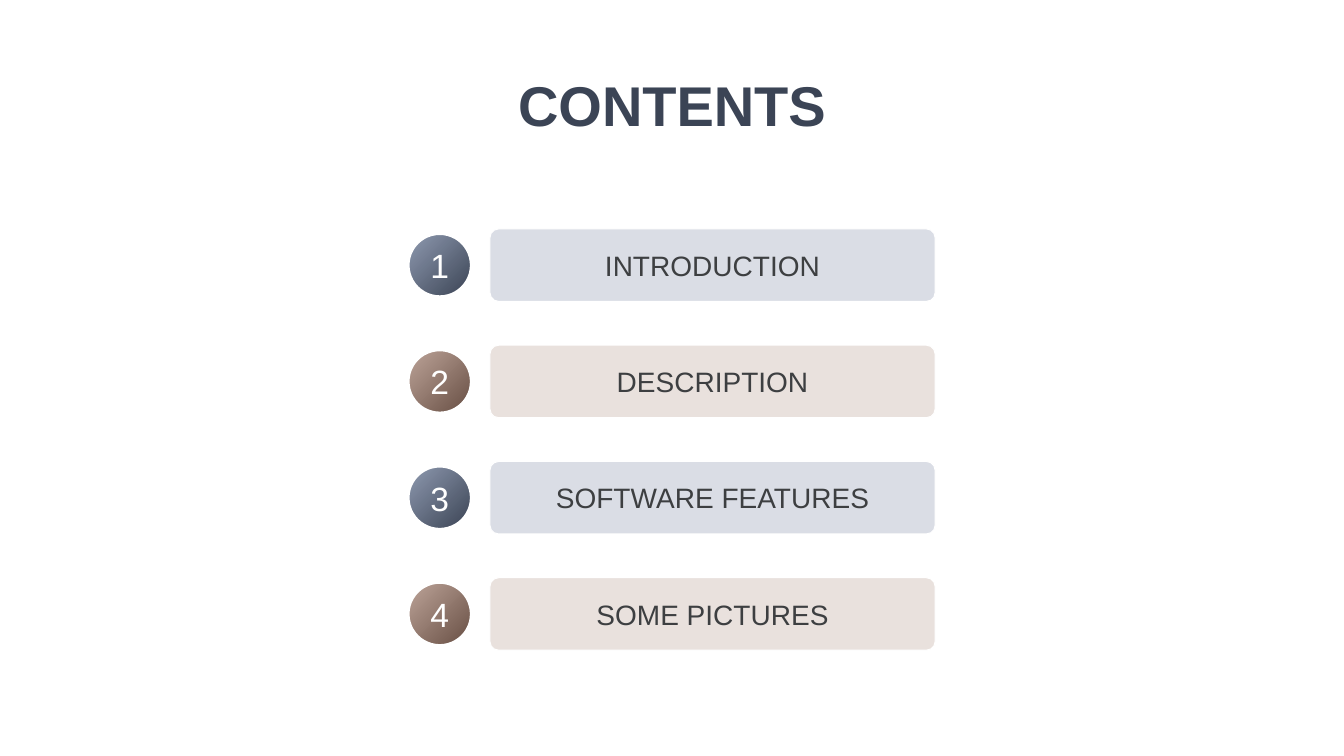
from dataclasses import dataclass

from pptx import Presentation
from pptx.dml.color import RGBColor
from pptx.enum.shapes import MSO_SHAPE as Preset
from pptx.enum.text import MSO_ANCHOR as Anchor, MSO_AUTO_SIZE as AutoSize, PP_ALIGN as Align
from pptx.shapes.autoshape import Shape
from pptx.slide import Slide
from pptx.util import Pt


@dataclass(frozen=True)
class Palette:
    light: str
    dark: str
    pale: str


@dataclass(frozen=True)
class Theme:
    font: str = "Arial"
    title_size: float = 40
    number_size: float = 24
    label_size: float = 20
    title_color: str = "3B4455"
    label_color: str = "3D3F41"
    white: str = "FFFFFF"
    slate: Palette = Palette("8F9AB0", "3B4455", "DADDE5")
    brown: Palette = Palette("BDA499", "684F44", "E9E1DD")


@dataclass(frozen=True)
class Entry:
    number: int
    label: str
    palette: Palette


THEME = Theme()
ENTRIES = [
    Entry(1, "INTRODUCTION", THEME.slate),
    Entry(2, "DESCRIPTION", THEME.brown),
    Entry(3, "SOFTWARE FEATURES", THEME.slate),
    Entry(4, "SOME PICTURES", THEME.brown),
]

# Layout in points
FIRST_TOP, ROW_PITCH = 163.5, 83.05
BADGE_LEFT, BADGE_SIZE = 291.8, 44.6
BAR_LEFT, BAR_WIDTH, BAR_HEIGHT = 350, 318, 51.8


def color(code: str) -> RGBColor:
    return RGBColor.from_string(code)


def write(box: Shape, text: str, size: float, ink: str, bold: bool = False) -> None:
    """Put one centred line of text in a box."""
    frame = box.text_frame
    frame.word_wrap = True
    frame.auto_size = AutoSize.NONE
    frame.vertical_anchor = Anchor.MIDDLE
    frame.margin_left = frame.margin_right = frame.margin_top = frame.margin_bottom = 0
    para = frame.paragraphs[0]
    para.alignment = Align.CENTER
    span = para.add_run()
    span.text = text
    span.font.name = THEME.font
    span.font.size = Pt(size)
    span.font.bold = bold
    span.font.color.rgb = color(ink)


def outline(box: Shape, width: float) -> None:
    box.shadow.inherit = False
    box.line.color.rgb = color(THEME.white)
    box.line.width = Pt(width)


def draw_entry(page: Slide, entry: Entry, top: float) -> None:
    group = page.shapes.add_group_shape()

    # Numbered badge, centred on the bar's height
    badge_top = top + (BAR_HEIGHT - BADGE_SIZE) / 2
    badge = group.shapes.add_shape(
        Preset.OVAL, Pt(BADGE_LEFT), Pt(badge_top), Pt(BADGE_SIZE), Pt(BADGE_SIZE))
    badge.fill.gradient()
    badge.fill.gradient_angle = 315
    for stop, shade in zip(badge.fill.gradient_stops, (entry.palette.light, entry.palette.dark)):
        stop.color.rgb = color(shade)
    outline(badge, 1.5)
    write(badge, str(entry.number), THEME.number_size, THEME.white)

    # Label bar
    bar = group.shapes.add_shape(
        Preset.ROUNDED_RECTANGLE, Pt(BAR_LEFT), Pt(top), Pt(BAR_WIDTH), Pt(BAR_HEIGHT))
    bar.adjustments[0] = 0.12
    bar.fill.solid()
    bar.fill.fore_color.rgb = color(entry.palette.pale)
    outline(bar, 0.75)
    write(bar, entry.label, THEME.label_size, THEME.label_color)


def main() -> None:
    deck = Presentation()
    deck.slide_width, deck.slide_height = Pt(960), Pt(540)
    page = deck.slides.add_slide(deck.slide_layouts[5])

    # Title
    title = page.shapes.title
    title.left, title.top, title.width, title.height = Pt(256), Pt(38.2), Pt(448), Pt(72)
    write(title, "CONTENTS", THEME.title_size, THEME.title_color, bold=True)

    # Contents rows
    for row, entry in enumerate(ENTRIES):
        draw_entry(page, entry, FIRST_TOP + row * ROW_PITCH)

    deck.save("out.pptx")


if __name__ == "__main__":
    main()
